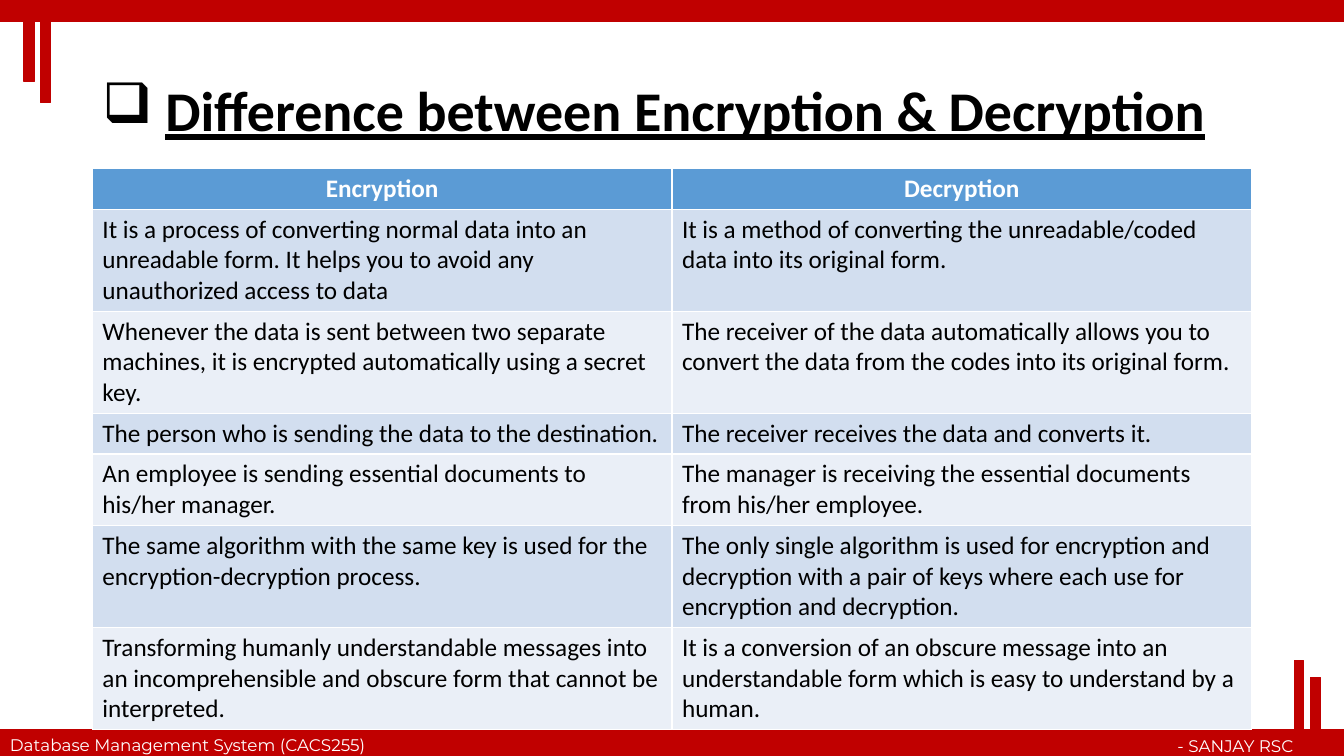
"""Build a slide that compares encryption with decryption in a table."""
from lxml import etree
from pptx import Presentation
from pptx import util as u
from pptx.dml.color import RGBColor
from pptx.enum import shapes, text

HUES = {"red": "C00000", "white": "FFFFFF", "black": "000000",
        "head": "5B9BD5", "dark": "D2DEEF", "light": "EAEFF7"}


def style(para, face, size, hue, bold=False):
    font = para.font
    font.name, font.size, font.bold = face, u.Pt(size), bold
    font.color.rgb = RGBColor.from_string(HUES[hue])


def label(words, left, top, width, height):
    box = slide.shapes.add_textbox(*map(u.Pt, (left, top, width, height)))
    box.text_frame.word_wrap = True
    box.text_frame.text = words
    return box.text_frame


deck = Presentation()
deck.slide_width, deck.slide_height = u.Pt(960), u.Pt(540)
slide = deck.slides.add_slide(deck.slide_layouts[6])

bars = [
    (0, 521.3, 960, 18.7),
    (0, 0, 960, 15),
    (28.8, 0.7, 7.2, 72.7),
    (17.3, 2.2, 7.2, 56.2),
    (924.5, 471.6, 6.5, 67.7),
    (936, 483.8, 7.2, 56.2),
]
for place in bars:
    bar = slide.shapes.add_shape(shapes.MSO_SHAPE.RECTANGLE, *map(u.Pt, place))
    bar.shadow.inherit = False
    bar.fill.solid()
    bar.fill.fore_color.rgb = RGBColor.from_string(HUES["red"])
    bar.line.color.rgb = RGBColor.from_string(HUES["red"])
    bar.line.width = u.Pt(1)

course = label("Database Management System (CACS255)", 0, 521.3, 299.5, 21.8)
style(course.paragraphs[0], "Montserrat", 12, "white")
author = label("- SANJAY RSC", 698.4, 522, 232.6, 21.8)
author.paragraphs[0].alignment = text.PP_ALIGN.RIGHT
style(author.paragraphs[0], "Montserrat", 12, "white")

title = label("Difference between Encryption & Decryption", 66, 28.8, 828, 104.4)
title.vertical_anchor = text.MSO_ANCHOR.MIDDLE
para = title.paragraphs[0]
para.line_spacing = 0.9
props = para._p.get_or_add_pPr()
props.set("marL", str(u.Pt(45)))
props.set("indent", str(u.Pt(-45)))
space = props.nsmap["a"]
etree.SubElement(props, f"{{{space}}}buChar", char="❑")
style(para, "Calibri", 40, "black", True)
para.font.underline = True

rows = [
    (1, "Encryption", "Decryption"),
    (3, "It is a process of converting normal data into an unreadable form. "
        "It helps you to avoid any unauthorized access to data",
     "It is a method of converting the unreadable/coded data into its original form."),
    (3, "Whenever the data is sent between two separate machines, "
        "it is encrypted automatically using a secret key.",
     "The receiver of the data automatically allows you to convert the data "
     "from the codes into its original form."),
    (1, "The person who is sending the data to the destination.",
     "The receiver receives the data and converts it."),
    (2, "An employee is sending essential documents to his/her manager.",
     "The manager is receiving the essential documents from his/her employee."),
    (3, "The same algorithm with the same key is used for the "
        "encryption-decryption process.",
     "The only single algorithm is used for encryption and decryption "
     "with a pair of keys where each use for encryption and decryption."),
    (3, "Transforming humanly understandable messages into an incomprehensible "
        "and obscure form that cannot be interpreted.",
     "It is a conversion of an obscure message into an understandable form "
     "which is easy to understand by a human."),
]
frame = slide.shapes.add_table(len(rows), 2, u.Pt(66), u.Pt(120.3), u.Pt(828), u.Pt(401))
table = frame.table
for r, (lines, *words) in enumerate(rows):
    table.rows[r].height = u.Pt(7.2 + 21.9 * lines)
    head = r == 0
    fill = "head" if head else "dark" if r % 2 else "light"
    for c, word in enumerate(words):
        cell = table.cell(r, c)
        cell.text = word
        cell.fill.solid()
        cell.fill.fore_color.rgb = RGBColor.from_string(HUES[fill])
        para = cell.text_frame.paragraphs[0]
        para.alignment = text.PP_ALIGN.CENTER if head else text.PP_ALIGN.LEFT
        style(para, "Calibri", 18, "white" if head else "black", head)

deck.save("out.pptx")
